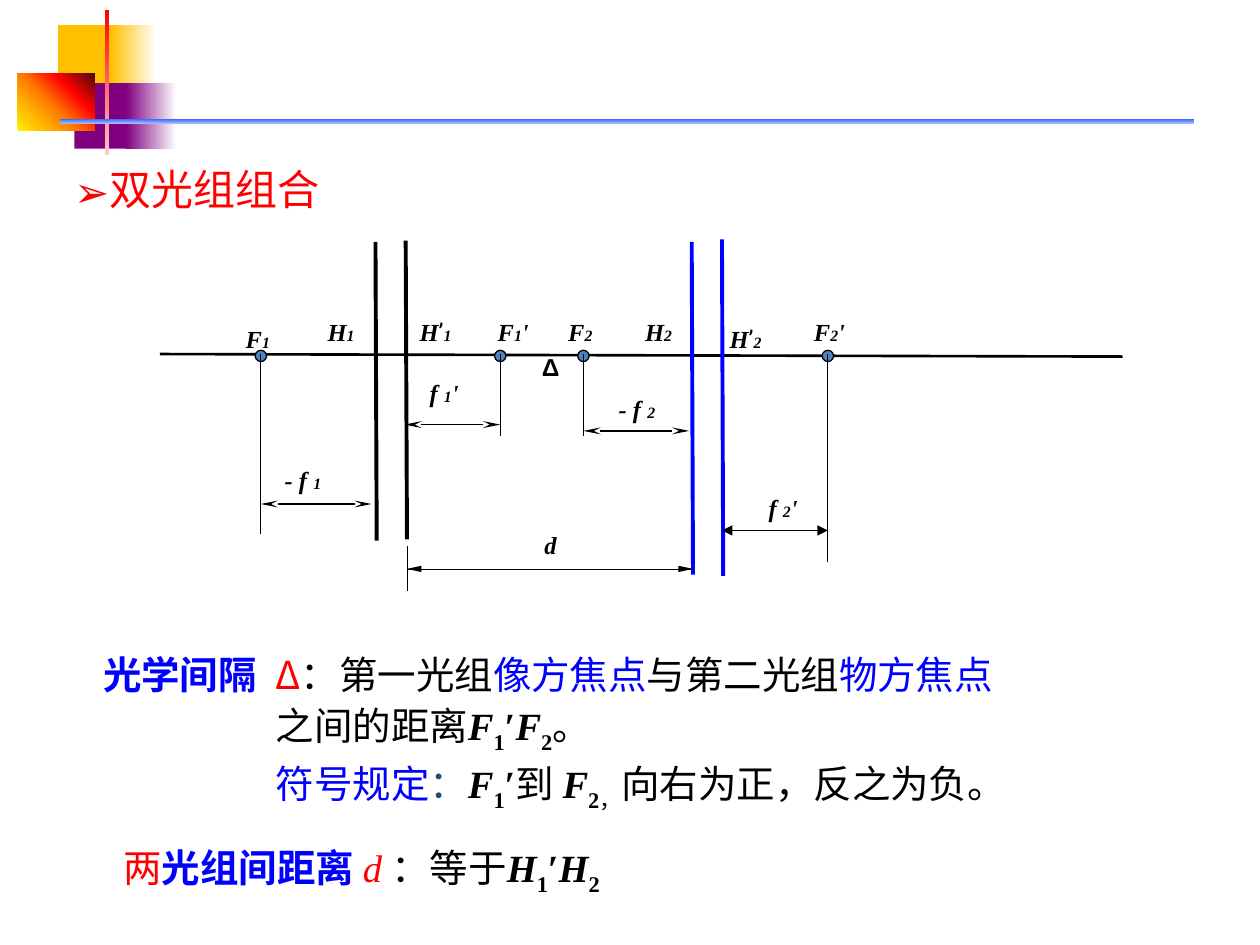
import dataclasses

import pptx
import pptx.dml.color
import pptx.enum.shapes
import pptx.enum.text
import pptx.oxml.ns
import pptx.util
from lxml import etree

COLUMNS, ROWS = 100, 75
CELL = pptx.util.Inches(0.1)
SHAPE = pptx.enum.shapes.MSO_SHAPE
SLIM = dict(type="stealth", w="sm", len="lg")
SOLID = dict(type="triangle")


@dataclasses.dataclass(frozen=True)
class Theme:
    """Colours, fonts and type sizes of the slide."""
    black: str = "000000"
    red: str = "FF0000"
    blue: str = "0000FF"
    navy: str = "1F497D"
    focus: str = "4F81BD"
    amber: str = "FFC000"
    purple: str = "800080"
    white: str = "FFFFFF"
    flame: tuple = ((0, "FFF200"), (45, "FF7A00"), (70, "FF0300"), (100, "4D0808"))
    stem: tuple = ((0, "FF0000"), (100, "FFC9C9"))
    rule: tuple = ((0, "3366FF"), (100, "A2B9FF"))
    chinese: str = "Noto Sans CJK SC"
    latin: str = "Times New Roman"
    sans: str = "Arial"
    prime: str = "Roboto"
    heading: int = 24
    body: int = 22
    label: int = 14
    index: int = 9
    hairline: float = 0.25
    thin: float = 0.75
    axis: float = 1.5
    plane: float = 2.25


THEME = Theme()


def cells(*counts):
    """Turn grid counts into lengths."""
    return [round(count * CELL) for count in counts]


def rgb(value):
    """Return a colour from its hex value."""
    return pptx.dml.color.RGBColor.from_string(value)


def child(parent, tag, **attributes):
    """Append a drawing element to its parent."""
    return etree.SubElement(parent, pptx.oxml.ns.qn(tag), **attributes)


def format_run(run, size=THEME.body, face=THEME.chinese, color=THEME.black,
               bold=False, italic=False, lowered=False):
    """Apply type settings to a run."""
    run.font.size = pptx.util.Pt(size)
    run.font.name = face
    run.font.bold, run.font.italic = bold, italic
    run.font.color.rgb = rgb(color)
    properties = run.font._element
    child(properties, "a:ea", typeface=face)
    if lowered:
        properties.set("baseline", "-25000")


def write(slide, box, paragraphs, margins=(0, 0), hang=(0, 0), bullet=None, spacing=None):
    """Write paragraphs of (text, format) runs; hang gives body and first-line indents."""
    frame = slide.shapes.add_textbox(*cells(*box)).text_frame
    frame.word_wrap = True
    frame.margin_left = frame.margin_right = cells(margins[0])[0]
    frame.margin_top = frame.margin_bottom = cells(margins[1])[0]
    body, first = cells(*hang)
    for number, runs in enumerate(paragraphs):
        paragraph = frame.add_paragraph() if number else frame.paragraphs[0]
        properties = paragraph._p.get_or_add_pPr()
        properties.set("marL", str(body))
        properties.set("indent", str(0 if number else first - body))
        if spacing:
            paragraph.line_spacing = spacing
        if bullet:
            child(properties, "a:buFont", typeface=THEME.chinese)
            child(properties, "a:buChar", char=bullet)
        for text, style in runs:
            run = paragraph.add_run()
            run.text = text
            format_run(run, **style)


def symbol(letter, index, prime=False):
    """Return runs for a body symbol with a lowered index."""
    upright = dict(face=THEME.latin, bold=True)
    runs = [(letter, dict(upright, italic=True)), (index, dict(upright, lowered=True))]
    return runs + [("′", upright)] if prime else runs


def label(letter, index="", middle="", tail=""):
    """Return runs for a diagram label."""
    strong = dict(face=THEME.latin, size=THEME.label, bold=True, italic=True)
    parts = [(letter, strong), (middle, dict(face=THEME.prime, size=THEME.label)),
             (index, dict(strong, size=THEME.index)), (tail, strong)]
    return [part for part in parts if part[0]]


def fill_shape(shape, fill, angle=0):
    """Fill a shape with a colour, or with stops at a clockwise angle."""
    shape.shadow.inherit = False
    shape.line.fill.background()
    if isinstance(fill, str):
        shape.fill.solid()
        shape.fill.fore_color.rgb = rgb(fill)
        return
    shape.fill.gradient()
    shape.fill.gradient_angle = -angle % 360
    stops = shape._element.spPr.find(".//" + pptx.oxml.ns.qn("a:gsLst"))
    stops.clear()
    for share, color in fill:
        child(child(stops, "a:gs", pos=str(share * 1000)), "a:srgbClr", val=color)


def block(slide, box, fill, angle=0):
    """Add a filled rectangle."""
    fill_shape(slide.shapes.add_shape(SHAPE.RECTANGLE, *cells(*box)), fill, angle)


def focus(slide, x, y, size=0.9):
    """Mark a focal point centred on the axis."""
    box = cells(x - size / 2, y - size / 2, size, size)
    dot = slide.shapes.add_shape(SHAPE.OVAL, *box)
    fill_shape(dot, THEME.focus)
    dot.line.color.rgb = rgb(THEME.black)
    dot.line.width = pptx.util.Pt(THEME.thin)


def line(slide, ends, color=THEME.black, width=THEME.thin, heads=None):
    """Draw a straight line, with arrowheads at both ends if given."""
    stroke = slide.shapes.add_connector(pptx.enum.shapes.MSO_CONNECTOR.STRAIGHT, *cells(*ends))
    stroke.line.color.rgb = rgb(color)
    stroke.line.width = pptx.util.Pt(width)
    if heads:
        for end in ("a:headEnd", "a:tailEnd"):
            child(stroke.line._get_or_add_ln(), end, **heads)
    child(stroke._element.spPr, "a:effectLst")


def dart(slide, tip, y, length):
    """Draw a slim solid arrowhead; a negative length points left."""
    points = [cells(tip - length, y - 0.25), cells(tip - length, y + 0.25)]
    outline = slide.shapes.build_freeform(*cells(tip, y))
    outline.add_line_segments(points, close=True)
    fill_shape(outline.convert_to_shape(), THEME.black)


def decorate(slide):
    """Draw the coloured blocks and the rule at the top."""
    block(slide, (4.6, 2, 4.8, 5.2), THEME.amber)
    block(slide, (8.8, 2, 3.6, 5.2), ((0, THEME.amber), (100, THEME.white)))
    block(slide, (5.9, 6.6, 4.6, 5.2), THEME.purple)
    block(slide, (10, 6.6, 4, 5.2), ((0, THEME.purple), (100, THEME.white)))
    block(slide, (1.4, 5.8, 6.1, 4.6), THEME.flame, 315)
    block(slide, (8.3, 0.8, 0.35, 11.5), THEME.stem, 90)
    block(slide, (4.8, 9.45, 90, 0.35), THEME.rule, 90)


def draw_system(slide):
    """Draw the axis, principal planes, foci and distances."""
    line(slide, (12.7, 28.1, 89.1, 28.3), width=THEME.axis)
    for x, top, bottom, color in ((29.8, 19.2, 42.9, THEME.black), (32.2, 19.1, 42.8, THEME.black),
                                  (54.9, 19.2, 45.6, THEME.blue), (57.3, 19, 45.7, THEME.blue)):
        line(slide, (x, top, x + 0.1, bottom), color, THEME.plane)
    line(slide, (32.3, 43.3, 32.3, 46.9), width=THEME.hairline)
    line(slide, (32.3, 45.15, 55, 45.15), width=THEME.hairline)
    dart(slide, 32.3, 45.15, -1.15)
    dart(slide, 55, 45.15, 1.15)
    for x, bottom in ((20.7, 42.4), (39.7, 34.6), (46.3, 34.6), (65.7, 44.6)):
        focus(slide, x, 28.25)
        line(slide, (x, 28.1, x, bottom))
    for left, right, y, heads in ((20.7, 29.5, 40, SLIM), (32.1, 39.7, 33.7, SLIM),
                                  (46.3, 54.7, 34.2, SLIM), (57.3, 65.7, 42.1, SOLID)):
        line(slide, (left, y, right, y), heads=heads)


def name_parts(slide):
    """Label the foci, planes and distances."""
    delta = [("Δ", dict(face=THEME.sans, size=THEME.label, bold=True))]
    for x, y, width, runs in (
            (19.5, 25.7, 2.5, label("F", "1")),
            (26, 25.2, 3.5, label("H", "1")),
            (33.3, 25.2, 3.5, label("H", "1", middle="’")),
            (39.5, 25.2, 3.5, label("F", "1", tail="'")),
            (45.1, 25.2, 2.5, label("F", "2")),
            (51.2, 25.2, 3.5, label("H", "2")),
            (57.9, 25.7, 3.5, label("H", "2", middle="’")),
            (64.6, 25.2, 3.5, label("F", "2", tail="'")),
            (43, 27.9, 2, delta),
            (22.6, 36.9, 4, label("- f ", "1")),
            (49.1, 31.3, 4, label("- f ", "2")),
            (34.1, 30, 3.5, label("f ", "1", tail="'")),
            (61, 39.1, 3.5, label("f ", "2", tail="'")),
            (43.2, 42.1, 2, label("d"))):
        write(slide, (x, y, width, 2.3), [runs])


def explain(slide):
    """Write the heading and the definitions."""
    plain, red, blue = {}, dict(color=THEME.red), dict(color=THEME.blue)
    term = dict(blue, bold=True)
    write(slide, (4.9, 12.5, 43.2, 5.1), [[("双光组组合", dict(red, size=THEME.heading))]],
          margins=(1, 0.5), hang=(2.8, 0), bullet="➢")
    write(slide, (1, 50.8, 91.9, 13.2), [
        [("光学间隔\t", term), ("Δ", red), ("：第一光组", plain), ("像方焦点", blue),
         ("与第二光组", plain), ("物方焦点", blue)],
        [("之间的距离", plain), *symbol("F", "1", True), *symbol("F", "2"), ("。", plain)],
        [("符号规定", blue), ("：", dict(color=THEME.navy)), *symbol("F", "1", True),
         ("到 ", plain), *symbol("F", "2"), ("，", dict(lowered=True)),
         ("向右为正，反之为负。", plain)],
    ], margins=(1, 0.5), hang=(19.9, 6.2), spacing=1.1)
    write(slide, (7.6, 67, 49.1, 4), [
        [("两", red), ("光组间距离 ", term), ("d ", dict(red, face=THEME.latin, italic=True)),
         ("：等于", plain), *symbol("H", "1", True), *symbol("H", "2")],
    ], hang=(2.2, 2.2))


def main():
    """Build and save the slide."""
    deck = pptx.Presentation()
    deck.slide_width, deck.slide_height = cells(COLUMNS, ROWS)
    slide = deck.slides.add_slide(deck.slide_layouts[6])
    decorate(slide)
    explain(slide)
    draw_system(slide)
    name_parts(slide)
    deck.save("out.pptx")


if __name__ == "__main__":
    main()
